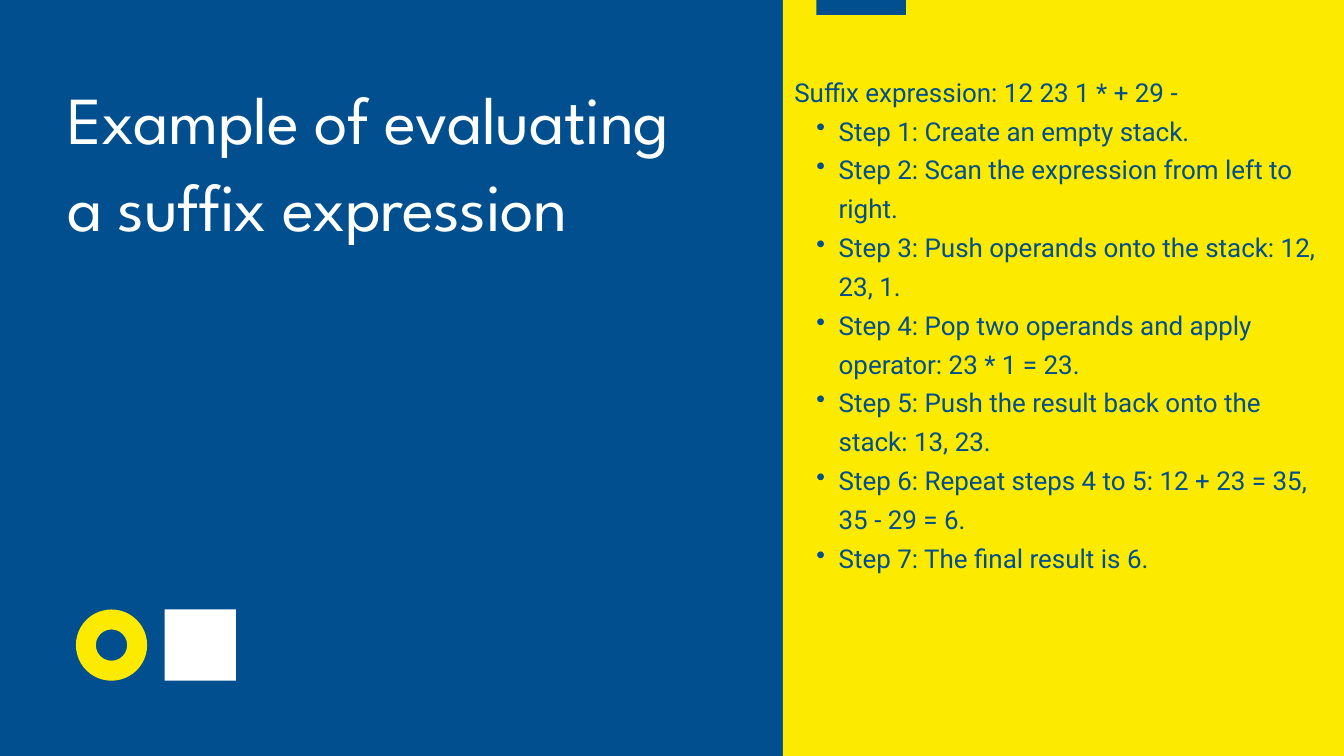
from lxml import etree
from pptx import Presentation
from pptx.dml.color import RGBColor
from pptx.enum import shapes
from pptx.oxml import ns
from pptx.util import Inches, Pt

BLUE, YELLOW, WHITE = "014F8E", "FCEA00", "FFFFFF"
HEADING = "Suffix expression: 12 23 1 * + 29 -"
STEPS = [
    "Create an empty stack.",
    "Scan the expression from left to right.",
    "Push operands onto the stack: 12, 23, 1.",
    "Pop two operands and apply operator: 23 * 1 = 23.",
    "Push the result back onto the stack: 13, 23.",
    "Repeat steps 4 to 5: 12 + 23 = 35, 35 - 29 = 6.",
    "The final result is 6.",
]


def paint(fill, color):
    """Give a fill one solid colour."""
    fill.solid()
    fill.fore_color.rgb = RGBColor.from_string(color)


def add_block(page, kind, left, top, width, height, color):
    """Add a flat preset shape without an outline."""
    block = page.shapes.add_shape(
        kind, Inches(left), Inches(top), Inches(width), Inches(height))
    block.shadow.inherit = False
    paint(block.fill, color)
    block.line.fill.background()
    return block


def add_text_frame(page, left, top, width, height):
    """Add a wrapping text box without margins and return its frame."""
    box = page.shapes.add_textbox(
        Inches(left), Inches(top), Inches(width), Inches(height))
    frame = box.text_frame
    frame.word_wrap = True
    frame.margin_left = frame.margin_right = 0
    frame.margin_top = frame.margin_bottom = 0
    return frame


def write(paragraph, words, font, size, leading, color):
    """Fill a paragraph with styled words."""
    paragraph.text = words
    paragraph.line_spacing = Pt(leading)
    paragraph.font.name = font
    paragraph.font.size = Pt(size)
    paint(paragraph.font.fill, color)


def add_bullet(paragraph):
    """Turn a paragraph into an indented bullet item."""
    paragraph.level = 1
    properties = paragraph._p.get_or_add_pPr()
    properties.set("marL", str(Inches(0.66)))
    properties.set("indent", str(Inches(-0.33)))
    bullet = etree.Element(ns.qn("a:buChar"), char="•")
    properties.find(ns.qn("a:defRPr")).addprevious(bullet)


def add_title(page, words):
    """Add the large, slightly tightened title."""
    paragraph = add_text_frame(page, 1, 1.05, 9.45, 3.85).paragraphs[0]
    write(paragraph, words, "League Spartan", 72, 93.6, WHITE)
    paragraph.runs[0]._r.get_or_add_rPr().set("spc", "-70")


def add_steps(page):
    """Add the expression followed by its numbered evaluation steps."""
    frame = add_text_frame(page, 11.82, 1.02, 8.01, 7.38)
    style = ("Roboto", 27.8, 41.6, BLUE)
    write(frame.paragraphs[0], HEADING, *style)
    for number, step in enumerate(STEPS, 1):
        paragraph = frame.add_paragraph()
        write(paragraph, f"Step {number}: {step}", *style)
        add_bullet(paragraph)


def main():
    """Build and save the slide."""
    deck = Presentation()
    deck.slide_width, deck.slide_height = Inches(20), Inches(11.25)
    page = deck.slides.add_slide(deck.slide_layouts[6])
    paint(page.background.fill, BLUE)
    kinds = shapes.MSO_SHAPE
    add_block(page, kinds.RECTANGLE, 11.65, 0, 8.35, 11.25, YELLOW)
    add_title(page, "Example of evaluating a suffix expression")
    add_block(page, kinds.RECTANGLE, 12.15, 0, 1.33, 0.22, BLUE)
    add_steps(page)
    add_block(page, kinds.RECTANGLE, 2.45, 9.07, 1.06, 1.06, WHITE)
    ring = add_block(page, kinds.DONUT, 1.13, 9.07, 1.06, 1.06, YELLOW)
    ring.adjustments[0] = 0.28
    deck.save("out.pptx")


if __name__ == "__main__":
    main()
